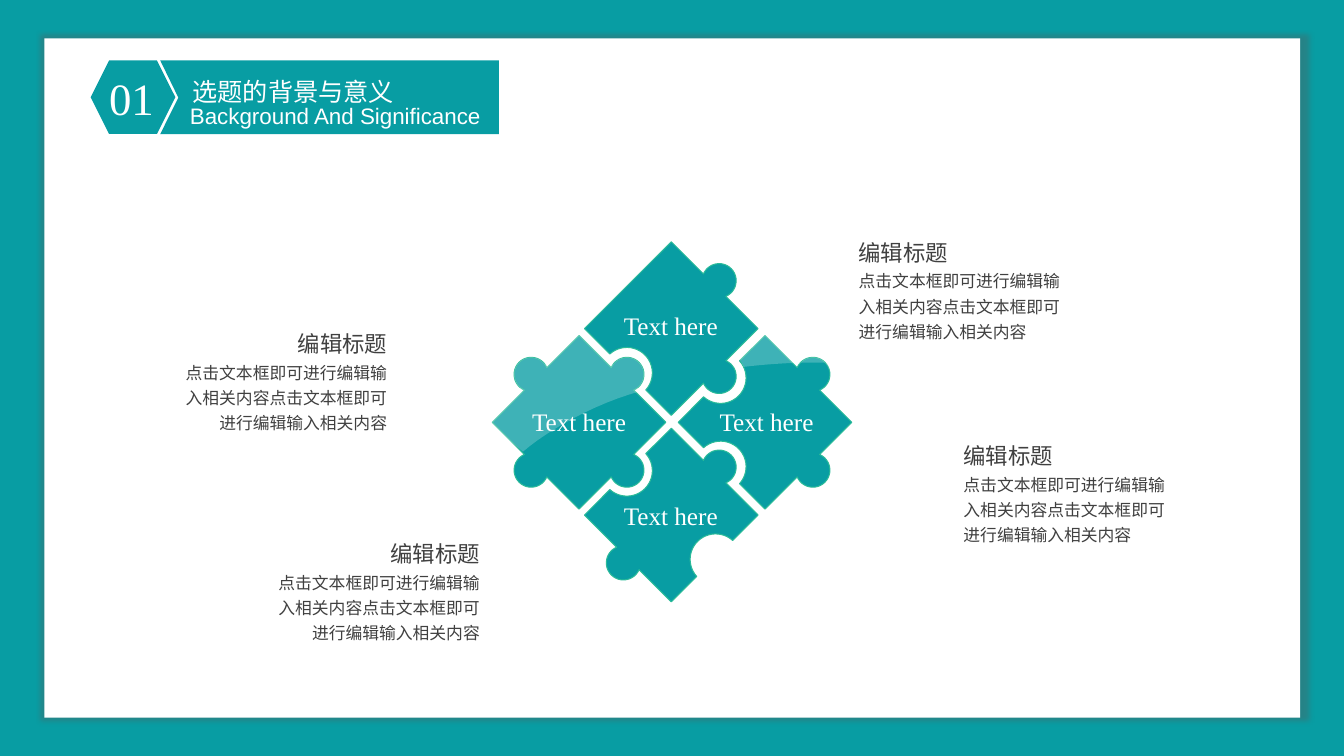
import math

from lxml import etree
from pptx import Presentation
from pptx.dml.color import RGBColor
from pptx.enum.shapes import MSO_SHAPE
from pptx.enum.text import MSO_ANCHOR, MSO_AUTO_SIZE, PP_ALIGN
from pptx.oxml.ns import qn
from pptx.util import Pt

LEFT, CENTER, RIGHT = PP_ALIGN.LEFT, PP_ALIGN.CENTER, PP_ALIGN.RIGHT
TOP = MSO_ANCHOR.TOP
NO_FIT, GROW = MSO_AUTO_SIZE.NONE, MSO_AUTO_SIZE.SHAPE_TO_FIT_TEXT
RECTANGLE, HEXAGON = MSO_SHAPE.RECTANGLE, MSO_SHAPE.HEXAGON

COLORS = {"teal": "089DA3", "white": "FFFFFF", "edge": "2BBB99",
          "text": "404040", "shadow": "595959"}
SANS, SERIF, LATIN = "Noto Sans CJK SC", "Times New Roman", "Arial"

# Content
SECTION = "01"
TITLE = "选题的背景与意义"
SUBTITLE = "Background And Significance"
LABEL = "Text here"
LABEL_SPOTS = [(434.16, 218.16), (434.16, 353.52), (368.64, 286.56), (502.56, 286.56)]
NOTE_HEAD = "编辑标题"
NOTE_BODY = "点击文本框即可进行编辑输入相关内容点击文本框即可进行编辑输入相关内容"
NOTES = [(606.24, 167.04, LEFT), (681.12, 312.48, LEFT),
         (190.8, 382.32, RIGHT), (124.56, 232.56, RIGHT)]

# Puzzle: centre of each piece, then T(ab) or S(ocket) for its NW, NE, SE, SW sides
PIECES = {"right": (546.48, 301.68, "STTS"), "bottom": (479.52, 367.92, "STST"),
          "top": (479.52, 234.72, "-TTS"), "left": (413.64, 301.68, "TTTT")}
HALF = 62  # half diagonal of a piece
KNOBS = {"T": (34.2, 12.2), "S": (31.7, 18.2)}  # centre offset in x and y, radius
GLOSS_HALF = 66
BANNER = [(114.48, 43.2), (356.4, 43.2), (356.4, 95.76), (114.48, 95.76), (127.44, 69.84)]

deck = Presentation()
deck.slide_width, deck.slide_height = Pt(960), Pt(540)
slide = deck.slides.add_slide(deck.slide_layouts[5])
shapes = slide.shapes


def color(name):
    return RGBColor.from_string(COLORS[name])


def paint(shape, fill, edge=None):
    shape.shadow.inherit = False
    shape.fill.solid()
    shape.fill.fore_color.rgb = color(fill)
    if edge:
        shape.line.color.rgb = color(edge)
        shape.line.width = Pt(0.75)
    else:
        shape.line.fill.background()
    return shape


def block(kind, x, y, w, h, fill):
    return paint(shapes.add_shape(kind, Pt(x), Pt(y), Pt(w), Pt(h)), fill)


def draw(outline, fill, edge=None):
    points = [(Pt(x), Pt(y)) for x, y in outline]
    builder = shapes.build_freeform(*points[0], scale=1.0)
    builder.add_line_segments(points[1:], close=True)
    return paint(builder.convert_to_shape(), fill, edge)


def side(x, y, number, knob, half=HALF, steps=24):
    """Points of one side, clockwise from its first corner; side 0 is NW."""
    turn = number * math.pi / 2
    along = (math.cos(turn - math.pi / 4), math.sin(turn - math.pi / 4))
    out = (along[1], -along[0])
    reach = half / math.sqrt(2)  # centre to side, and half a side
    local = [(-reach, reach)]
    if knob in KNOBS:
        offset, radius = KNOBS[knob]
        centre = offset * math.sqrt(2)
        dip = math.asin((centre - reach) / radius)
        first = math.pi + dip
        last = -dip if knob == "T" else 2 * math.pi - dip
        for i in range(steps + 1):
            angle = first + (last - first) * i / steps
            local.append((radius * math.cos(angle), centre + radius * math.sin(angle)))
    return [(x + a * along[0] + o * out[0], y + a * along[1] + o * out[1])
            for a, o in local]


def bezier(start, pull, pull_end, end, steps=12):
    curve = []
    for i in range(steps + 1):
        t = i / steps
        weights = ((1 - t)**3, 3 * t * (1 - t)**2, 3 * t * t * (1 - t), t**3)
        nodes = (start, pull, pull_end, end)
        curve.append(tuple(sum(w * node[k] for w, node in zip(weights, nodes))
                           for k in (0, 1)))
    return curve


def write(frame, text, size, font, tint, align=LEFT, spacing=None):
    frame.text = text
    line = frame.paragraphs[0]
    line.alignment = align
    if spacing:
        line.line_spacing = spacing
    line.font.size = Pt(size)
    line.font.color.rgb = color(tint)
    line.font.name = font
    defaults = line._p.pPr.find(qn("a:defRPr"))
    etree.SubElement(defaults, qn("a:ea"), typeface=font)


def caption(x, y, w, h, *style):
    frame = shapes.add_textbox(Pt(x), Pt(y), Pt(w), Pt(h)).text_frame
    frame.word_wrap = True
    frame.auto_size = GROW
    write(frame, *style)


# Background and white panel with its soft shadow
slide.background.fill.solid()
slide.background.fill.fore_color.rgb = color("teal")
panel = block(RECTANGLE, 31.68, 27.36, 897.12, 485.28, "white")
effects = panel._element.spPr.find(qn("a:effectLst"))
shadow = etree.SubElement(effects, qn("a:outerShdw"), blurRad=str(Pt(4)), dist=str(Pt(2)),
                          dir="0", sx="101000", sy="101000", algn="ctr", rotWithShape="0")
shade = etree.SubElement(shadow, qn("a:srgbClr"), val=COLORS["shadow"])
etree.SubElement(shade, qn("a:alpha"), val="36000")

# Heading
draw(BANNER, "teal")
block(HEXAGON, 64.8, 43.2, 60.48, 52.56, "teal")
caption(62.64, 46.8, 62.64, 46.08, SECTION, 32, SERIF, "white", CENTER)
title = shapes.title
title.left, title.top, title.width, title.height = Pt(130.32), Pt(29.52), Pt(159.84), Pt(44.64)
title.text_frame.word_wrap = False
title.text_frame.auto_size = NO_FIT
title.text_frame.vertical_anchor = TOP
write(title.text_frame, TITLE, 18, SANS, "white", LEFT, 2.0)
title._element.getparent().append(title._element)  # in front of the banner
caption(41.8, 69.12, 395.28, 26.64, SUBTITLE, 16, LATIN, "white", CENTER)

# Puzzle pieces
for x, y, knobs in PIECES.values():
    draw([point for number, knob in enumerate(knobs)
          for point in side(x, y, number, knob)], "teal", "edge")

# Gloss on the upper part of the right and left pieces
right_x, right_y, _ = PIECES["right"]
left_x, left_y, _ = PIECES["left"]
right_gloss = side(right_x, right_y, 1, "T", GLOSS_HALF)[:18]
right_gloss += bezier((591.84, 259.2), (570.24, 258.48), (550.08, 259.92), (531.36, 262.08))
right_gloss.append((527.04, 254.16))
left_gloss = side(left_x, left_y, 0, "T", GLOSS_HALF) + side(left_x, left_y, 1, "T", GLOSS_HALF)
left_gloss += bezier((457.92, 279.36), (424.8, 288), (390.24, 308.16), (373.68, 322.56))
for sheen in (right_gloss, left_gloss):
    tint = draw(sheen, "white")._element.spPr.find(qn("a:solidFill"))[0]
    etree.SubElement(tint, qn("a:alpha"), val="22000")
for x, y in LABEL_SPOTS:
    caption(x, y, 90, 28.8, LABEL, 18, SERIF, "white", CENTER)

# Notes around the puzzle
BODY_W, HEAD_W = 159.12, 84.24
for x, y, align in NOTES:
    head_x = x + BODY_W - HEAD_W if align == RIGHT else x
    caption(x, y + 19.44, BODY_W, 61.92, NOTE_BODY, 12, SANS, "text", align, 1.25)
    caption(head_x, y, HEAD_W, 26.64, NOTE_HEAD, 16, SANS, "text", align)

deck.save("out.pptx")
